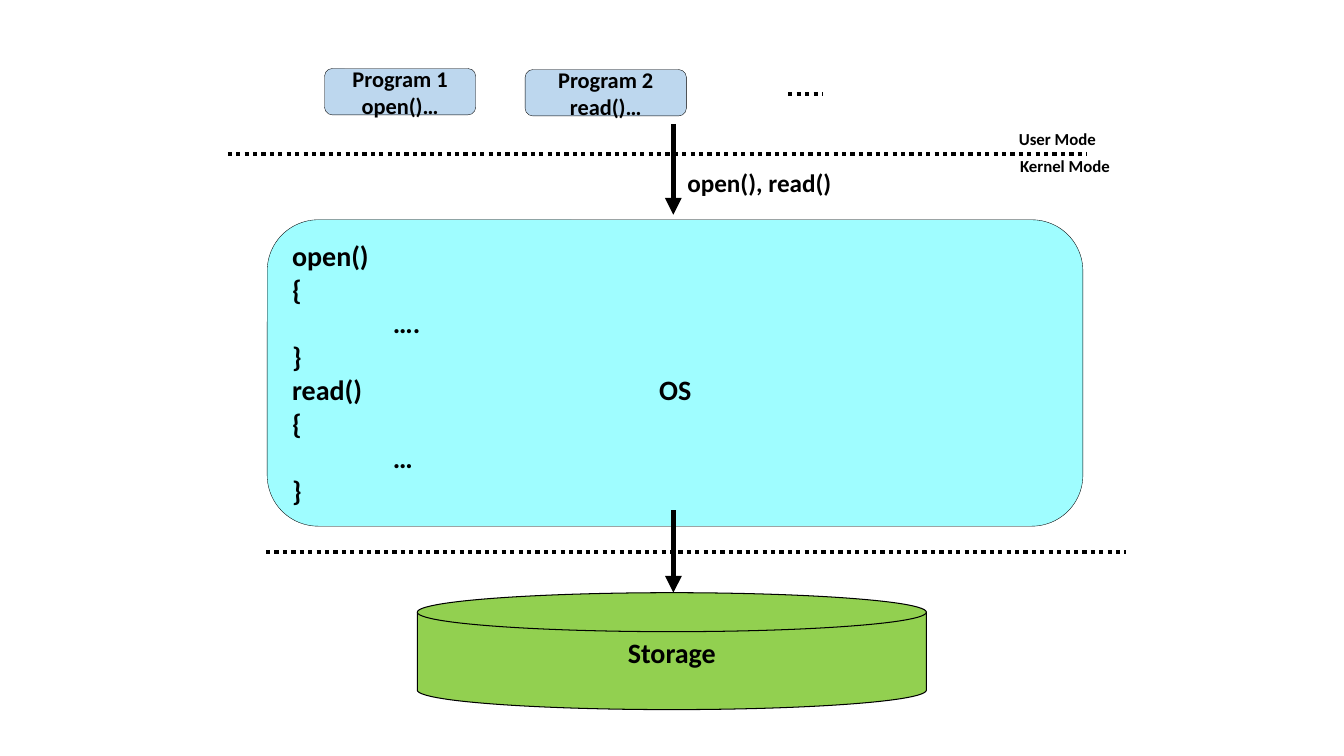
import pptx
import pptx.util
import pptx.dml.color
import pptx.enum.dml
import pptx.enum.shapes
import pptx.enum.text
import pptx.oxml
import pptx.oxml.ns

RGB = pptx.dml.color.RGBColor
SHAPE = pptx.enum.shapes.MSO_SHAPE
ALIGN = pptx.enum.text.PP_ALIGN
ANCHOR = pptx.enum.text.MSO_ANCHOR
FIT = pptx.enum.text.MSO_AUTO_SIZE
DOTS = pptx.enum.dml.MSO_LINE.ROUND_DOT
INCH = pptx.util.Inches
PT = pptx.util.Pt

BLACK = RGB(0x00, 0x00, 0x00)
BLUE = RGB(0xBD, 0xD7, 0xEE)
CYAN = RGB(0x9F, 0xFD, 0xFF)
GREEN = RGB(0x92, 0xD0, 0x50)


def part(box, x, y, w=0, h=0):
    """Cut a box out of another, in percent of its size."""
    left, top, width, height = box
    return (round(left + width * x / 100), round(top + height * y / 100),
            round(width * w / 100), round(height * h / 100))


def apply(target, values):
    """Set the attributes held in a dict."""
    for name, value in values.items():
        setattr(target, name, value)


def write(frame, lines, size, align):
    """Write bold black lines into a text frame."""
    frame.text = "\n".join(lines)
    for para in frame.paragraphs:
        para.alignment = align
        for run in para.runs:
            apply(run.font, {"name": "Calibri", "size": PT(size), "bold": True})
            run.font.color.rgb = BLACK


def block(slide, kind, box, fill, lines, size, edge=0.25, align=ALIGN.CENTER):
    """Draw a filled shape with text and return its frame."""
    shape = slide.shapes.add_shape(kind, *box)
    shape.shadow.inherit = False
    shape.fill.solid()
    shape.fill.fore_color.rgb = fill
    shape.line.color.rgb = BLACK
    shape.line.width = PT(edge)
    frame = shape.text_frame
    apply(frame, {"word_wrap": True, "vertical_anchor": ANCHOR.MIDDLE})
    write(frame, lines, size, align)
    return frame


def label(slide, box, text, size, align=ALIGN.CENTER):
    """Place one line of free text."""
    frame = slide.shapes.add_textbox(*box).text_frame
    write(frame, [text], size, align)
    apply(frame, {"word_wrap": False, "auto_size": FIT.SHAPE_TO_FIT_TEXT})


def stroke(slide, box, width):
    """Draw a black line across a box and return it."""
    x, y, w, h = box
    link = slide.shapes.add_connector(
        pptx.enum.shapes.MSO_CONNECTOR.STRAIGHT, x, y, x + w, y + h)
    link.line.color.rgb = BLACK
    link.line.width = PT(width)
    props = link.element.spPr
    props.append(props.makeelement(pptx.oxml.ns.qn("a:effectLst"), {}))
    return link


def dotted(slide, box):
    """Draw a dotted line."""
    stroke(slide, box, 3).line.dash_style = DOTS


def arrow(slide, box):
    """Draw a thick line with a head at its end."""
    line = stroke(slide, box, 4).line._get_or_add_ln()
    tip = line.makeelement(pptx.oxml.ns.qn("a:tailEnd"), {"type": "triangle"})
    line.append(tip)


def user(slide, box):
    """Draw the programs above the mode border."""
    dotted(slide, part(box, 0, 100, 100))
    label(slide, part(box, 90.85, 64.7, 11.5, 35.3), "User Mode", 12)
    label(slide, part(box, 90.96, 96.5, 13.03, 35.3), "Kernel Mode", 12)
    for x, y, w, lines in (
            (11.27, 0, 17.6, ("Program 1", "open()…")),
            (34.62, 1.2, 18.78, ("Program 2", "read()…"))):
        block(slide, SHAPE.ROUNDED_RECTANGLE, part(box, x, y, w, 54.1),
              BLUE, lines, 16)
    dotted(slide, part(box, 65.26, 29.4, 4))


def calls(slide, box):
    """Draw the system calls that enter the kernel."""
    label(slide, part(box, 2.4, 42.2, 97.6, 44.4), "open(), read()", 18,
          ALIGN.LEFT)
    arrow(slide, part(box, 0, 0, 0, 100))


def kernel(slide, box):
    """Draw the operating system with its call bodies."""
    lines = ("open()", "{", "\t….", "}", "read()\tOS", "{", "\t…", "}")
    frame = block(slide, SHAPE.ROUNDED_RECTANGLE, box, CYAN, lines, 20,
                  align=ALIGN.LEFT)
    for para, line in zip(frame.paragraphs, lines):
        if "\t" in line:
            props = para._p.get_or_add_pPr()
            tabs = props.makeelement(pptx.oxml.ns.qn("a:tabLst"), {})
            stop = INCH(1 if line.startswith("\t") else 3.64)
            tabs.append(tabs.makeelement(
                pptx.oxml.ns.qn("a:tab"), {"pos": str(stop), "algn": "l"}))
            props.append(tabs)


def store(slide, box):
    """Draw the storage disk below the hardware border."""
    frame = block(slide, SHAPE.FLOWCHART_MAGNETIC_DISK,
                  part(box, 17.58, 41.4, 59.2, 58.6), GREEN, ["Storage"], 20,
                  0.75)
    apply(frame, {"vertical_anchor": ANCHOR.TOP,
                  "margin_left": INCH(0.07), "margin_right": INCH(0.07),
                  "margin_top": INCH(0.04), "margin_bottom": INCH(0.04)})
    dotted(slide, part(box, 0, 21.2, 100))
    arrow(slide, part(box, 47.36, 0, 0, 41.4))


def main():
    """Build the slide and save it."""
    deck = pptx.Presentation()
    apply(deck, {"slide_width": INCH(13.33), "slide_height": INCH(7.5)})
    slide = deck.slides.add_slide(deck.slide_layouts[6])
    page = (0, 0, deck.slide_width, deck.slide_height)
    user(slide, part(page, 16.95, 9.07, 63.9, 11.33))
    calls(slide, part(page, 50.1, 16.4, 12.6, 12))
    kernel(slide, part(page, 19.88, 29.07, 60.69, 40.53))
    store(slide, part(page, 19.8, 67.47, 63.99, 26.4))
    deck.save("out.pptx")


if __name__ == "__main__":
    main()
